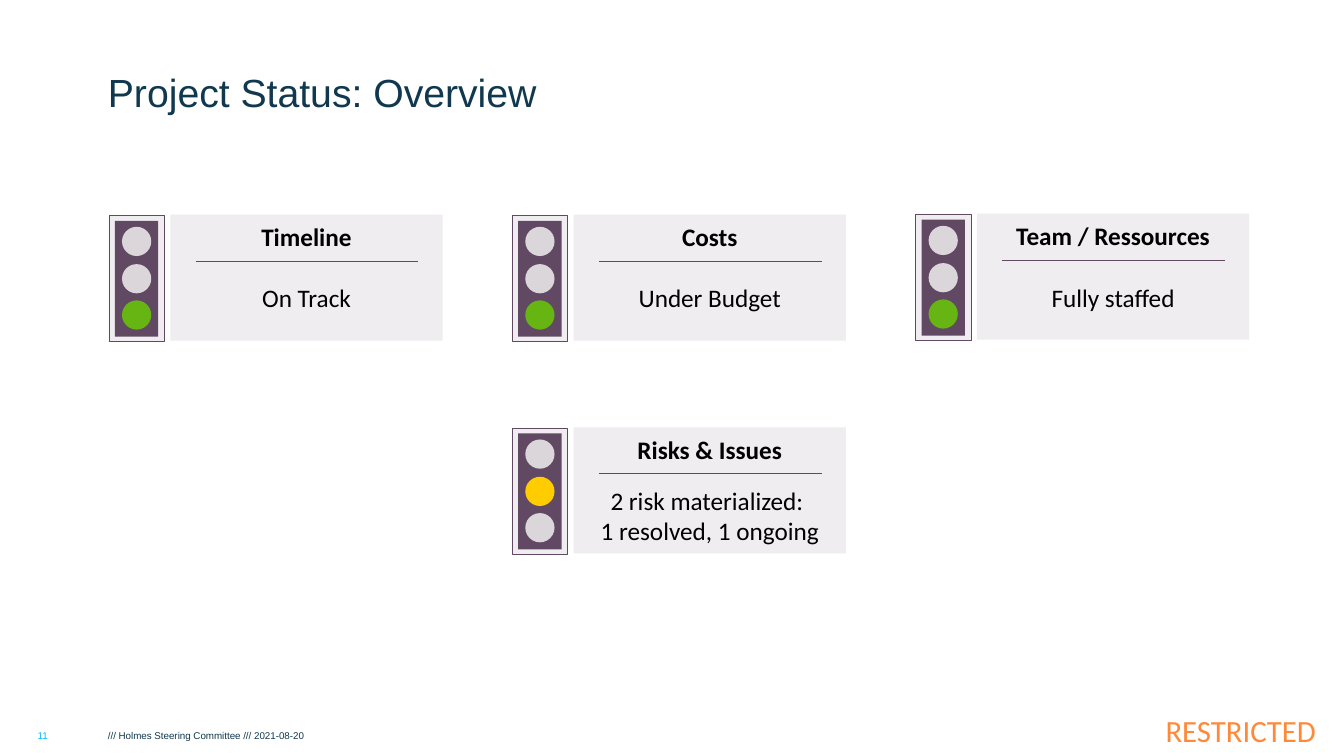
from dataclasses import dataclass

from lxml.etree import SubElement
from pptx import Presentation
from pptx.dml.color import RGBColor
from pptx.enum.shapes import MSO_CONNECTOR, MSO_SHAPE
from pptx.enum.text import MSO_ANCHOR, PP_ALIGN
from pptx.oxml.ns import qn
from pptx.util import Emu, Pt

EMU_PER_PX = 9144  # 100 px to the inch


def px(length):
    return Emu(length * EMU_PER_PX)


@dataclass(frozen=True)
class Theme:
    navy: str = "10384F"
    cyan: str = "00BCFF"
    orange: str = "FF8939"
    black: str = "000000"
    plum: str = "624963"
    panel: str = "EFEDEF"
    lamp_off: str = "DAD6DA"
    green: str = "66B512"
    yellow: str = "FFCC00"
    heading_font: str = "Arial"
    card_font: str = "Calibri"
    title_size: int = 28
    label_size: int = 22
    card_size: int = 18
    footer_size: int = 7
    hairline: float = 0.5


class StatusSlide:
    def __init__(self, slide, theme):
        self.shapes = slide.shapes
        self.theme = theme

    def set_frame(self, frame, anchor, top=0, right=0):
        frame.word_wrap = True
        frame.vertical_anchor = anchor
        frame.margin_left = frame.margin_bottom = 0
        frame.margin_top, frame.margin_right = px(top), px(right)

    def fill_paragraph(self, para, text, size, font, color, align, bold=False):
        para.text = text
        para.alignment = align
        para.font.size = Pt(size)
        para.font.name = font
        para.font.bold = bold
        para.font.color.rgb = RGBColor.from_string(color)

    def text(self, area, text, size, font, color, align=PP_ALIGN.LEFT,
             anchor=MSO_ANCHOR.TOP, right=0):
        box = self.shapes.add_textbox(*map(px, area))
        self.set_frame(box.text_frame, anchor, right=right)
        self.fill_paragraph(box.text_frame.paragraphs[0], text, size, font, color, align)

    def shape(self, kind, area, fill, outline=None, parent=None):
        shape = (parent or self).shapes.add_shape(kind, *map(px, area))
        shape.shadow.inherit = False
        shape.fill.solid()
        shape.fill.fore_color.rgb = RGBColor.from_string(fill)
        if outline:
            shape.line.color.rgb = RGBColor.from_string(outline)
            shape.line.width = Pt(self.theme.hairline)
        else:
            shape.line.fill.background()
        return shape

    def rule(self, left, top, width):
        line = self.shapes.add_connector(
            MSO_CONNECTOR.STRAIGHT, px(left), px(top), px(left + width), px(top))
        line.line.color.rgb = RGBColor.from_string(self.theme.plum)
        line.line.width = Pt(self.theme.hairline)
        SubElement(line._element.spPr, qn("a:effectLst"))

    def traffic_light(self, left, top, lit, color):
        """Draw three lamps, with the one numbered lit in the given colour."""
        theme = self.theme
        light = self.shapes.add_group_shape()
        self.shape(MSO_SHAPE.RECTANGLE, (left, top, 55, 125),
                   theme.panel, theme.plum, light)
        self.shape(MSO_SHAPE.RECTANGLE, (left + 6, top + 5, 43, 115),
                   theme.plum, parent=light)
        for index, offset in enumerate((11, 48, 84)):
            fill = color if index == lit else theme.lamp_off
            self.shape(MSO_SHAPE.OVAL, (left + 13, top + offset, 29, 29),
                       fill, parent=light)

    def card(self, left, top, heading, status, lit, color, gap):
        theme = self.theme
        self.traffic_light(left, top + 1, lit, color)
        panel = self.shape(MSO_SHAPE.RECTANGLE, (left + 61, top, 270, 125), theme.panel)
        frame = panel.text_frame
        self.set_frame(frame, MSO_ANCHOR.TOP, top=7)
        style = theme.card_size, theme.card_font, theme.black, PP_ALIGN.CENTER
        self.fill_paragraph(frame.paragraphs[0], heading, *style, bold=True)
        body = frame.add_paragraph()
        self.fill_paragraph(body, status, *style)
        body.space_before = Pt(gap)
        self.rule(left + 86, top + 46, 221)


def main():
    theme = Theme()
    deck = Presentation()
    deck.slide_width, deck.slide_height = px(1333), px(750)
    page = StatusSlide(deck.slides.add_slide(deck.slide_layouts[6]), theme)

    page.text((1128, 699, 205, 51), "RESTRICTED", theme.label_size, theme.card_font,
              theme.orange, PP_ALIGN.RIGHT, MSO_ANCHOR.MIDDLE, right=28)
    page.text((107, 20, 1181, 94), "Project Status: Overview", theme.title_size,
              theme.heading_font, theme.navy, anchor=MSO_ANCHOR.BOTTOM)
    page.text((107, 724, 945, 12), "/// Holmes Steering Committee /// 2021-08-20",
              theme.footer_size, theme.heading_font, theme.navy)
    page.text((21, 724, 43, 12), "11", theme.footer_size, theme.heading_font,
              theme.cyan, PP_ALIGN.CENTER)

    cards = [
        (0, 213, "Timeline", "On Track", 2, theme.green, 22),
        (1, 213, "Costs", "Under Budget", 2, theme.green, 22),
        (2, 212, "Team / Ressources", "Fully staffed", 2, theme.green, 22),
        (1, 424, "Risks & Issues", "2 risk materialized: \v1 resolved, 1 ongoing",
         1, theme.yellow, 14.6),
    ]
    for column, *details in cards:
        page.card(108 + 400 * column, *details)

    deck.save("out.pptx")


if __name__ == "__main__":
    main()
